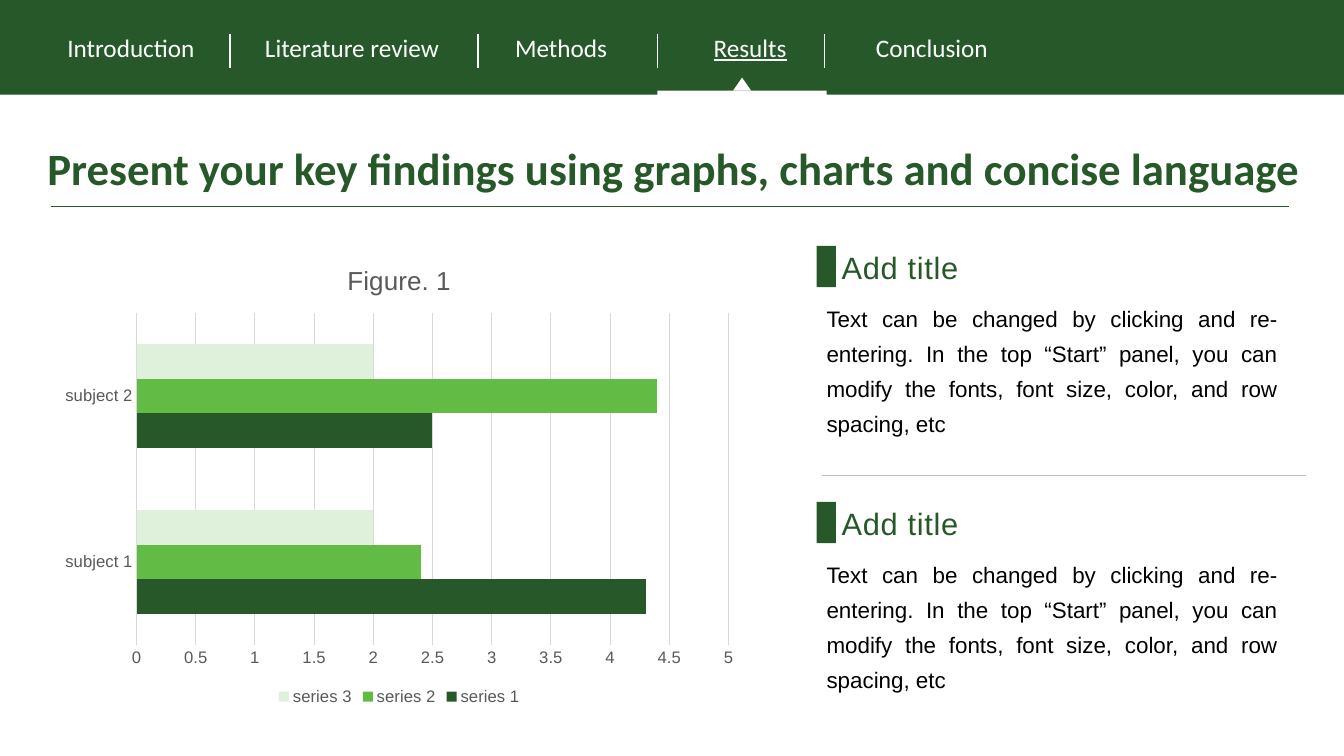
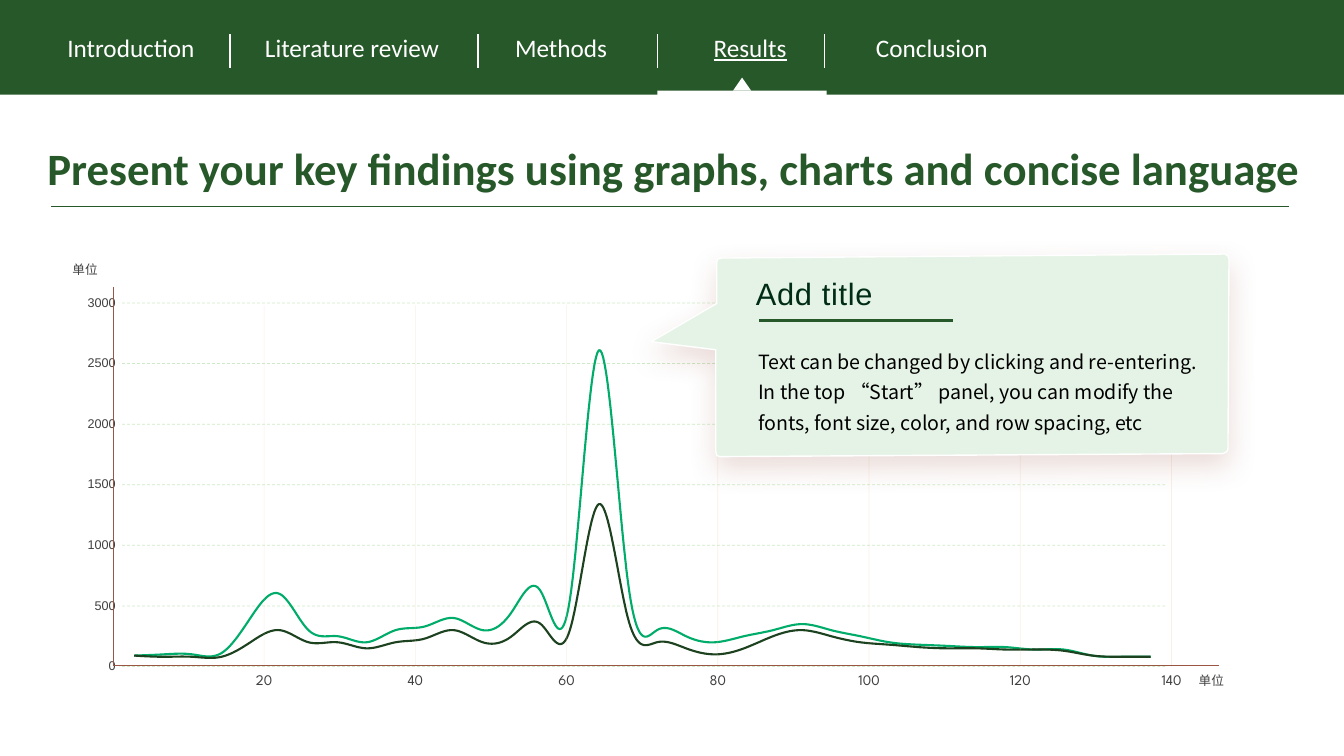
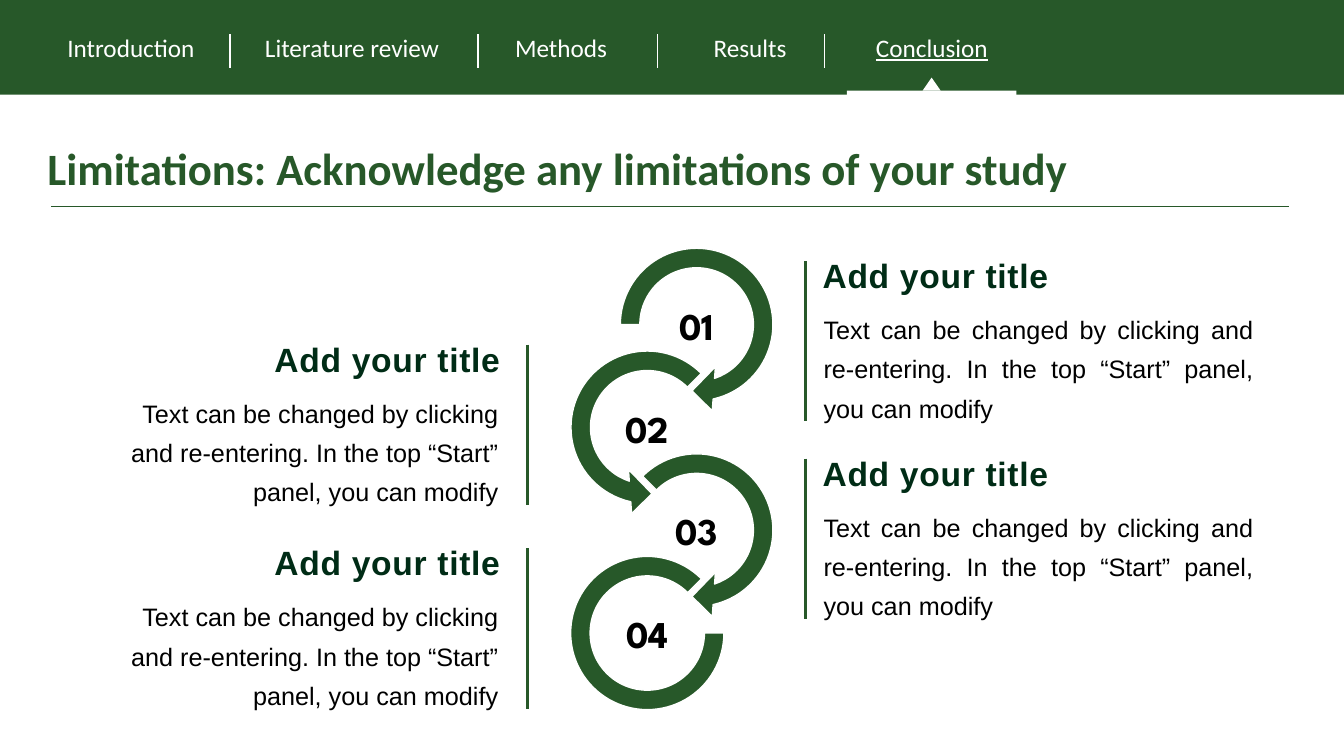
from lxml.etree import SubElement
from pptx import Presentation
from pptx.chart.data import CategoryChartData
from pptx.dml.color import RGBColor
from pptx.enum.chart import XL_CHART_TYPE as ChartType, XL_LEGEND_POSITION as LegendPosition, XL_TICK_MARK as TickMark
from pptx.enum.dml import MSO_LINE
from pptx.enum.shapes import MSO_CONNECTOR, MSO_SHAPE as Shape
from pptx.enum.text import MSO_ANCHOR as Anchor, PP_ALIGN as Align
from pptx.oxml import parse_xml
from pptx.oxml.ns import nsdecls, qn
from pptx.util import Inches, Pt

GREEN, DARK, WHITE, BROWN, GRAY = "275829", "002C16", "FFFFFF", "9A5644", "404040"
RESULTS_TITLE = "Present your key findings using graphs, charts and concise language"
SHORT_TEXT = "Text can be changed by clicking and re-entering. In the top “Start” panel, you can modify"
LONG_TEXT = SHORT_TEXT + " the fonts, font size, color, and row spacing, etc"


def write(page, text, left, top, width, height, box=None, size=18, font="Arial", color="000000",
          bold=False, underline=False, align=Align.LEFT, anchor=Anchor.TOP, spacing=1.0,
          tracking=0, inset=None):
    """Put text into the given box, or a new text box, and format it."""
    place = [Inches(value) for value in (left, top, width, height)]
    box = box or page.shapes.add_textbox(*place)
    box.left, box.top, box.width, box.height = place
    frame = box.text_frame
    frame.word_wrap = True
    frame.vertical_anchor = anchor
    if inset is not None:
        frame.margin_left = frame.margin_right = Inches(inset)
        frame.margin_top = frame.margin_bottom = Inches(inset)
    para = frame.paragraphs[0]
    para.alignment = align
    para.line_spacing = spacing
    span = para.add_run()
    span.text = text
    span.font.size = Pt(size)
    span.font.bold = bold
    span.font.underline = underline
    span.font.color.rgb = RGBColor.from_string(color)
    span.font.name = font
    properties = span.font._element
    SubElement(properties, qn("a:ea")).set("typeface", font)
    if tracking:
        properties.set("spc", str(int(tracking * 100)))


def paint(shape, fill=None, line=None, width=1.0):
    """Set fill and line of a shape or connector and return its empty effect list."""
    if fill:
        shape.fill.solid()
        shape.fill.fore_color.rgb = RGBColor.from_string(fill)
    if line:
        shape.line.color.rgb = RGBColor.from_string(line)
        shape.line.width = Pt(width)
    else:
        shape.line.fill.background()
    return SubElement(shape._element.spPr, qn("a:effectLst"))


deck = Presentation()
deck.slide_width, deck.slide_height = Inches(13.33), Inches(7.5)

# Navigation band, title and title rule
tabs = [("Introduction", 0.57, 1.6), ("Literature review", 2.53, 2.1), ("Methods", 5.01, 1.3),
        ("Results", 6.98, 1.1), ("Conclusion", 8.59, 1.5)]
pages = []
for title, active, pointer in [(RESULTS_TITLE, "Results", 6.52), (RESULTS_TITLE, "Results", 6.52),
                               ("Limitations: Acknowledge any limitations of your study", "Conclusion", 8.4)]:
    page = deck.slides.add_slide(deck.slide_layouts[5])
    pages.append(page)
    write(page, title, 0.37, 1.35, 12.8, 0.69, box=page.shapes.title, size=32, font="Calibri",
          color=GREEN, bold=True)
    for kind, left, top, width, height, color in [
            (Shape.RECTANGLE, 0, 0, 13.33, 0.94, GREEN),
            (Shape.ISOSCELES_TRIANGLE, pointer + 0.75, 0.77, 0.18, 0.13, WHITE),
            (Shape.RECTANGLE, pointer, 0.9, 1.68, 0.08, WHITE)]:
        paint(page.shapes.add_shape(kind, Inches(left), Inches(top), Inches(width), Inches(height)), color)
    for name, left, width in tabs:
        write(page, name, left, 0.27, width, 0.4, font="Calibri", color=WHITE, underline=name == active)
    for x in (2.28, 4.74, 6.52, 8.18):
        paint(page.shapes.add_connector(MSO_CONNECTOR.STRAIGHT, Inches(x), Inches(0.34), Inches(x), Inches(0.67)),
              line=WHITE)
    paint(page.shapes.add_connector(MSO_CONNECTOR.STRAIGHT, Inches(0.51), Inches(2.05), Inches(12.78), Inches(2.05)),
          line=GREEN, width=1.25)
bar_page, curve_page, limits_page = pages

# Bar chart with two text blocks
data = CategoryChartData()
data.categories = ["subject 1", "subject 2"]
data.add_series("series 1", (4.3, 2.5))
data.add_series("series 2", (2.4, 4.4))
data.add_series("series 3", (2, 2))
chart = bar_page.shapes.add_chart(ChartType.BAR_CLUSTERED, Inches(0.51), Inches(2.42), Inches(6.9), Inches(4.62),
                                  data).chart
chart.font.name, chart.font.size = "Arial", Pt(11.9)
chart.font.color.rgb = RGBColor.from_string("595959")
chart.has_title = True
chart.chart_title.text_frame.text = "Figure. 1"
title_font = chart.chart_title.text_frame.paragraphs[0].runs[0].font
title_font.size, title_font.bold, title_font.name = Pt(18.6), False, "Arial"
title_font.color.rgb = RGBColor.from_string("595959")
chart.has_legend = True
chart.legend.position = LegendPosition.BOTTOM
chart.legend.include_in_layout = False
bars = chart.plots[0]
bars.gap_width = 182
bars.vary_by_categories = False
for series, color in zip(bars.series, (GREEN, "61BB45", "DFF1DA")):
    series.format.fill.solid()
    series.format.fill.fore_color.rgb = RGBColor.from_string(color)
values = chart.value_axis
values.minimum_scale, values.maximum_scale, values.major_unit = 0, 5, 0.5
values.major_tick_mark = chart.category_axis.major_tick_mark = TickMark.NONE
values.format.line.fill.background()
for line in (values.major_gridlines.format.line, chart.category_axis.format.line):
    line.color.rgb = RGBColor.from_string("D9D9D9")
    line.width = Pt(0.75)

for top in (2.42, 4.96):
    paint(bar_page.shapes.add_shape(Shape.RECTANGLE, Inches(8.1), Inches(top + 0.02), Inches(0.19), Inches(0.41)),
          GREEN)
    write(bar_page, "Add title", 8.25, top, 2.58, 0.47, size=22, color=GREEN, align=Align.JUSTIFY, tracking=0.5)
    write(bar_page, LONG_TEXT, 8.1, top + 0.48, 4.67, 0.9, size=16, align=Align.JUSTIFY, spacing=1.3)
paint(bar_page.shapes.add_connector(MSO_CONNECTOR.STRAIGHT, Inches(8.15), Inches(4.72), Inches(12.95), Inches(4.72)),
      line="BFBFBF")

# Smooth curves on hand-made axes
data = CategoryChartData()
data.categories = [str(number) for number in range(1, 37)]
data.add_series("Series 1", (90, 100, 100, 110, 400, 600, 300, 250, 200, 300, 330, 400, 300, 450, 620, 550, 2610, 700,
                             300, 250, 200, 250, 300, 350, 300, 250, 200, 180, 170, 160, 160, 140, 140, 90, 80, 80))
data.add_series("Series 2", (90, 80, 80, 80, 200, 300, 200, 200, 150, 200, 230, 300, 200, 250, 350, 300, 1340, 400,
                             200, 150, 100, 150, 250, 300, 250, 200, 180, 160, 150, 150, 140, 140, 130, 90, 80, 80))
chart = curve_page.shapes.add_chart(ChartType.LINE, Inches(0.63), Inches(2.85), Inches(11.15), Inches(3.92),
                                    data).chart
chart.has_title = chart.has_legend = False
chart.font.name, chart.font.size = "Arial", Pt(9)
chart.font.color.rgb = RGBColor.from_string(GRAY)
chart.category_axis.visible = False
values = chart.value_axis
values.minimum_scale, values.maximum_scale, values.major_unit = 0, 3000, 500
values.major_tick_mark = TickMark.NONE
values.format.line.fill.background()
grid = values.major_gridlines.format.line
grid.color.rgb = RGBColor.from_string("61BB45")
grid.width, grid.dash_style = Pt(0.5), MSO_LINE.DASH
for series, color in zip(chart.plots[0].series, ("00AC69", "1D421F")):
    series.smooth = True
    series.format.line.color.rgb = RGBColor.from_string(color)
    series.format.line.width = Pt(1.5)
plot_area = chart._chartSpace.chart.plotArea
for layout in plot_area.findall(qn("c:layout")):
    plot_area.remove(layout)
plot_area.insert(0, parse_xml(
    f'<c:layout {nsdecls("c")}><c:manualLayout><c:layoutTarget val="inner"/><c:xMode val="edge"/>'
    '<c:yMode val="edge"/><c:x val="0.05"/><c:y val="0.04"/><c:w val="0.93"/><c:h val="0.92"/>'
    '</c:manualLayout></c:layout>'))

faint = [(values._element.find(qn("c:majorGridlines")), 31)]
for number in range(1, 8):
    x = 1.12 + 1.5 * number
    write(curve_page, str(number * 20), x - 0.33, 6.61, 0.66, 0.28, size=10.5, font="League Spartan", color=GRAY,
          align=Align.CENTER)
    guide = curve_page.shapes.add_connector(MSO_CONNECTOR.STRAIGHT, Inches(x), Inches(3.03), Inches(x), Inches(6.61))
    paint(guide, line="EFC49C", width=0.5)
    faint.append((guide._element, 25))
for element, opacity in faint:
    SubElement(next(element.iter(qn("a:srgbClr"))), qn("a:alpha")).set("val", str(opacity * 1000))
for end_x, end_y in ((12.09, 6.6), (1.12, 2.85)):
    paint(curve_page.shapes.add_connector(MSO_CONNECTOR.STRAIGHT, Inches(1.12), Inches(6.6), Inches(end_x),
                                          Inches(end_y)), line=BROWN, width=0.5)
for left, top in ((0.62, 2.55), (11.79, 6.63)):
    write(curve_page, "单位", left, top, 0.91, 0.25, size=9, font="Noto Sans CJK SC", color=GRAY)

# Callout
outline = [(7.16, 2.56), (12.15, 2.52), (12.18, 2.54), (12.19, 2.57), (12.18, 4.45), (12.17, 4.48), (12.13, 4.5),
           (7.14, 4.53), (7.11, 4.52), (7.1, 4.48), (7.1, 3.47), (6.46, 3.39), (7.11, 3.01), (7.11, 2.6), (7.12, 2.57)]
corners = [(Inches(x), Inches(y)) for x, y in outline]
builder = curve_page.shapes.build_freeform(*corners[0])
builder.add_line_segments(corners[1:], close=True)
effects = paint(builder.convert_to_shape(), "E4F3E5", WHITE)
effects.append(parse_xml(
    f'<a:outerShdw {nsdecls("a")} blurRad="{Pt(20)}" dist="{Pt(8)}" dir="5400000" algn="t" rotWithShape="0">'
    f'<a:srgbClr val="{BROWN}"><a:alpha val="20000"/></a:srgbClr></a:outerShdw>'))
write(curve_page, "Add title", 7.4, 2.68, 1.47, 0.5, size=22, color=DARK, align=Align.JUSTIFY, tracking=0.5)
paint(curve_page.shapes.add_connector(MSO_CONNECTOR.STRAIGHT, Inches(7.53), Inches(3.18), Inches(9.45), Inches(3.18)),
      line=GREEN, width=1.5)
write(curve_page, LONG_TEXT, 7.42, 3.35, 4.65, 1.02, size=14, font="Noto Sans CJK SC", spacing=1.3)

# Chain of four rings
rings = [(Shape.CIRCULAR_ARROW, 6.03, (0.11, 11.423, 45, 108, 0.125)),
         (Shape.LEFT_CIRCULAR_ARROW, 5.54, (0.11, 11.423, 63, 189, 0.125)),
         (Shape.CIRCULAR_ARROW, 6.03, (0.11, 11.423, 45, 135, 0.125)),
         (Shape.BLOCK_ARC, 5.54, (0, 189, 0.127))]
for index, (kind, left, adjustments) in enumerate(rings):
    top = 2.34 + 1.02 * index
    margin = 0.12 if kind == Shape.BLOCK_ARC else 0
    side = Inches(1.76 - 2 * margin)
    ring = limits_page.shapes.add_shape(kind, Inches(left + margin), Inches(top + margin), side, side)
    for position, value in enumerate(adjustments):
        ring.adjustments[position] = value
    paint(ring, GREEN, WHITE)
    write(limits_page, f"{index + 1:02}", left + 0.39, top + 0.64, 0.98, 0.49, size=27, font="League Spartan",
          bold=True, align=Align.CENTER, anchor=Anchor.MIDDLE, inset=0.02)

# Text beside the rings: heading left, body left, body width, rule x
right_side = (8.06, 8.07, 4.46, 7.99, Align.JUSTIFY)
left_side = (2.48, 0.84, 4.2, 5.23, Align.RIGHT)
for top, side in ((2.48, right_side), (4.44, right_side), (3.31, left_side), (5.33, left_side)):
    heading_left, body_left, body_width, rule_x, align = side
    write(limits_page, "Add your title", heading_left, top, 2.58, 0.5, size=24, color=DARK, bold=True, align=align,
          tracking=0.5)
    write(limits_page, SHORT_TEXT, body_left, top + 0.5, body_width, 0.9, align=align, spacing=1.3)
    paint(limits_page.shapes.add_connector(MSO_CONNECTOR.STRAIGHT, Inches(rule_x), Inches(top + 0.11),
                                           Inches(rule_x), Inches(top + 1.7)), line=GREEN, width=2.25)

deck.save("out.pptx")
